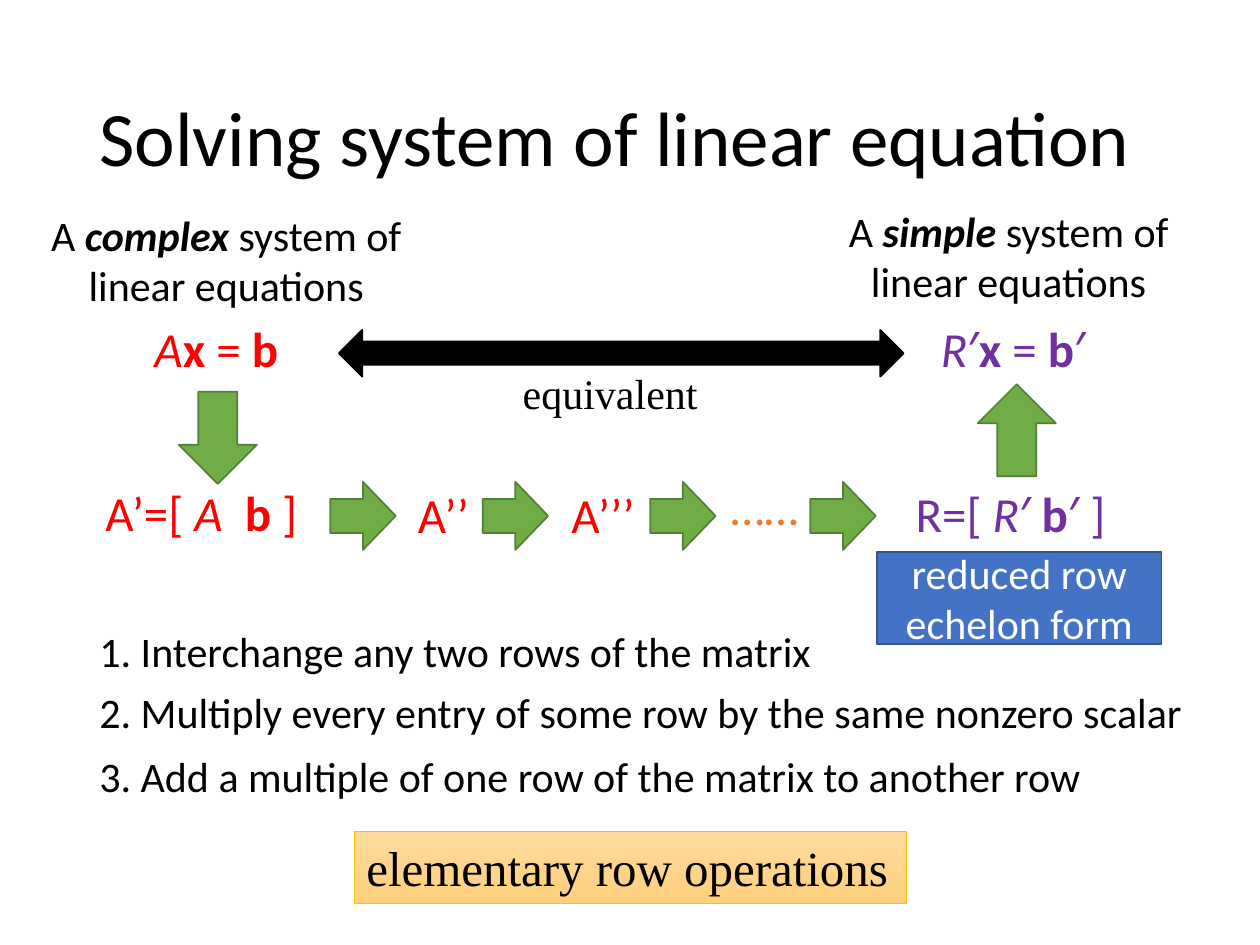
import pptx
import pptx.util
import pptx.dml.color
import pptx.enum.shapes
import pptx.enum.text

Pt = pptx.util.Pt
SHAPE = pptx.enum.shapes.MSO_SHAPE
ALIGN = pptx.enum.text.PP_ALIGN
ANCHOR = pptx.enum.text.MSO_ANCHOR
FIT = pptx.enum.text.MSO_AUTO_SIZE

COLORS = {
    "black": "000000", "white": "FFFFFF", "red": "FF0000", "purple": "7030A0",
    "orange": "ED7D31", "green": "70AD47", "dark green": "538035",
    "blue": "4472C4", "dark blue": "325491",
    "gold": "FFC000", "light gold": "FFDB9E", "deep gold": "FFD07C",
}
SANS, SERIF = "Calibri", "Times New Roman"
BOLD, ITALIC = {"bold": True}, {"italic": True}
BOTH = {"bold": True, "italic": True}

# Content: (left, top, width, height), runs of (text, format)
TITLE = ((49.7, 28.8, 620.6, 104.4), [("Solving system of linear equation", {})])

HEADINGS = [
    ((13.7, 115.9, 231.1, 65.5), "complex"),
    ((460.8, 113.8, 231.1, 65.5), "simple"),
]

FORMULAS = [
    ((74.9, 178.6, 98.6, 41), "red",
     [(" ", {}), ("A", ITALIC), ("x", BOLD), (" = ", {}), ("b", BOLD)]),
    ((46.8, 272.2, 139, 41), "red",
     [(" A’=[ ", {}), ("A  ", ITALIC), ("b ", BOLD), ("]", {})]),
    ((225.4, 273.6, 50.4, 41), "red", [(" A’’", {})]),
    ((313.2, 273.6, 57.6, 41), "red", [(" A’’’", {})]),
    ((410.4, 268.6, 55.4, 41), "orange", [("……", {})]),
    ((516.2, 272.9, 125.3, 41), "purple",
     [("R=[ ", {}), ("R", ITALIC), ("′ ", {}), ("b", BOLD), ("′ ]", {})]),
    ((530.6, 178.6, 98.6, 41), "purple",
     [("R", ITALIC), ("′", {}), ("x", BOLD), (" = ", {}), ("b", BOLD), ("′", {})]),
]

OPERATIONS = [
    (354.2, 546.5, "1. Interchange any two rows of the matrix"),
    (388.8, 688.3, "2. Multiply every entry of some row by the same nonzero scalar"),
    (425.5, 672.5, "3. Add a multiple of one row of the matrix to another row"),
]

STEP_LEFTS = [188.7, 275.8, 371.5, 463]
ARROWS = [
    (SHAPE.DOWN_ARROW, (102.2, 223.9, 44.6, 52.6), "green", "dark green"),
    (SHAPE.UP_ARROW, (558.7, 219.6, 44.6, 52.6), "green", "dark green"),
    (SHAPE.LEFT_RIGHT_ARROW, (193.7, 188.6, 322.6, 26.6), "black", "black"),
] + [(SHAPE.RIGHT_ARROW, (left, 275.4, 37.4, 38.9), "green", "dark green")
     for left in STEP_LEFTS]


def rgb(name):
    return pptx.dml.color.RGBColor.from_string(COLORS[name])


def write(box, runs, size, color="black", font=SANS, wrap=True,
          fit=FIT.SHAPE_TO_FIT_TEXT, anchor=ANCHOR.TOP, align=ALIGN.LEFT):
    frame = box.text_frame
    frame.word_wrap = wrap
    frame.auto_size = fit
    frame.vertical_anchor = anchor
    para = frame.paragraphs[0]
    para.alignment = align
    for text, extra in runs:
        span = para.add_run()
        span.text = text
        values = {"name": font, "size": Pt(size), "bold": False, "italic": False}
        for key, value in {**values, **extra}.items():
            setattr(span.font, key, value)
        span.font.color.rgb = rgb(color)
    return para


def add_text(page, place, runs, size, **options):
    box = page.shapes.add_textbox(*map(Pt, place))
    return write(box, runs, size, **options)


def add_block(page, kind, place, fill, line, weight=1):
    block = page.shapes.add_shape(kind, *map(Pt, place))
    block.shadow.inherit = False
    block.fill.solid()
    block.fill.fore_color.rgb = rgb(fill)
    block.line.color.rgb = rgb(line)
    block.line.width = Pt(weight)
    return block


def main():
    deck = pptx.Presentation()
    deck.slide_width, deck.slide_height = Pt(720), Pt(540)
    page = deck.slides.add_slide(deck.slide_layouts[6])

    # Title and the two system headings
    title = add_text(page, *TITLE, 44, fit=FIT.NONE, anchor=ANCHOR.MIDDLE)
    title.line_spacing = 0.9
    for place, word in HEADINGS:
        runs = [("A ", {}), (word, BOTH), (" system of linear equations", {})]
        add_text(page, place, runs, 24, align=ALIGN.CENTER)

    # Arrows between the steps, with the formulas
    for arrow in ARROWS:
        add_block(page, *arrow)
    for place, color, runs in FORMULAS:
        add_text(page, place, runs, 28, color=color, wrap=False)
    add_text(page, (291.6, 206.6, 114.5, 36), [("equivalent", {})], 24,
             font=SERIF, wrap=False)

    # Name of the final form
    form = add_block(page, SHAPE.RECTANGLE, (501.1, 315.4, 162.7, 52.6),
                     "blue", "dark blue")
    write(form, [("reduced row echelon form", {})], 24, color="white",
          fit=FIT.NONE, anchor=ANCHOR.MIDDLE, align=ALIGN.CENTER)

    # Row operations and their common name
    for top, width, text in OPERATIONS:
        add_text(page, (49.7, top, width, 36), [(text, {})], 24)
    label = add_block(page, SHAPE.RECTANGLE, (202.3, 475.2, 315.4, 41),
                      "light gold", "gold", 0.5)
    label.fill.gradient()
    label.fill.gradient_angle = 270
    for stop, name in zip(label.fill.gradient_stops, ("light gold", "deep gold")):
        stop.color.rgb = rgb(name)
    write(label, [("elementary row operations", {})], 28, font=SERIF, wrap=False)

    deck.save("out.pptx")


if __name__ == "__main__":
    main()
